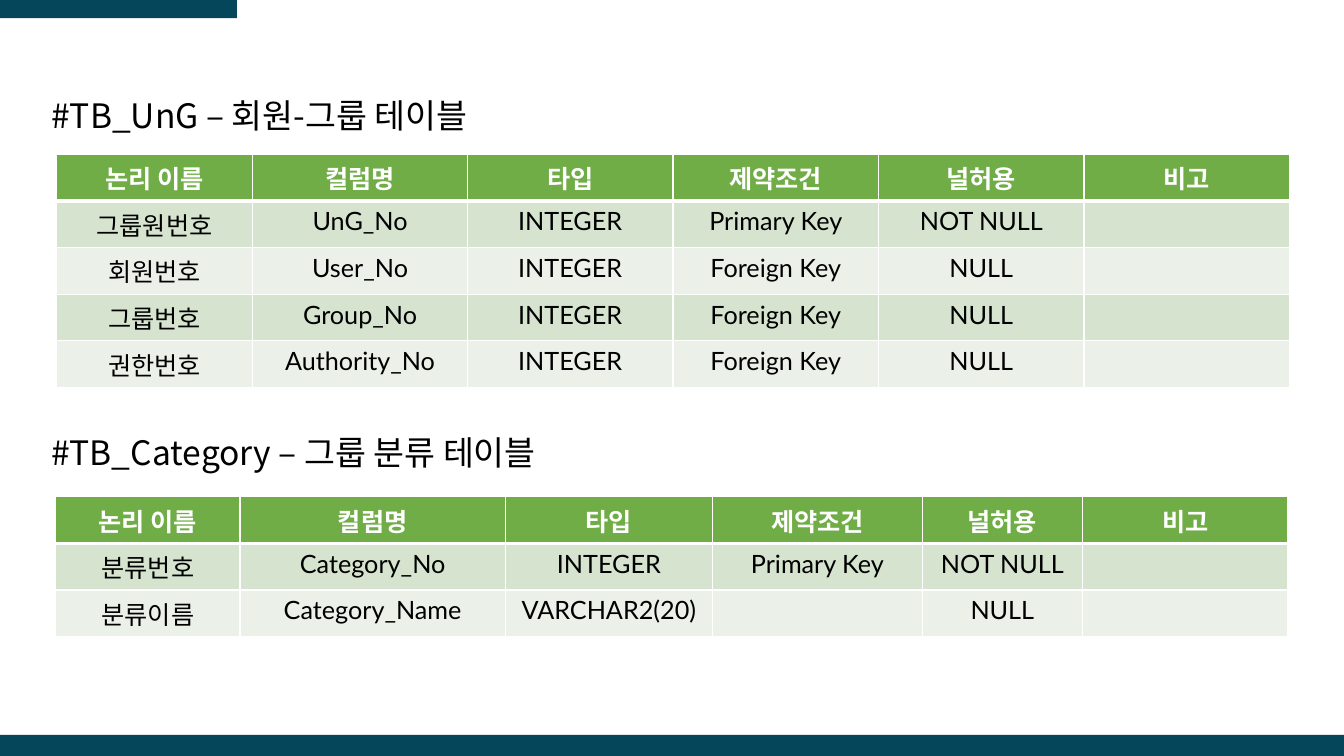
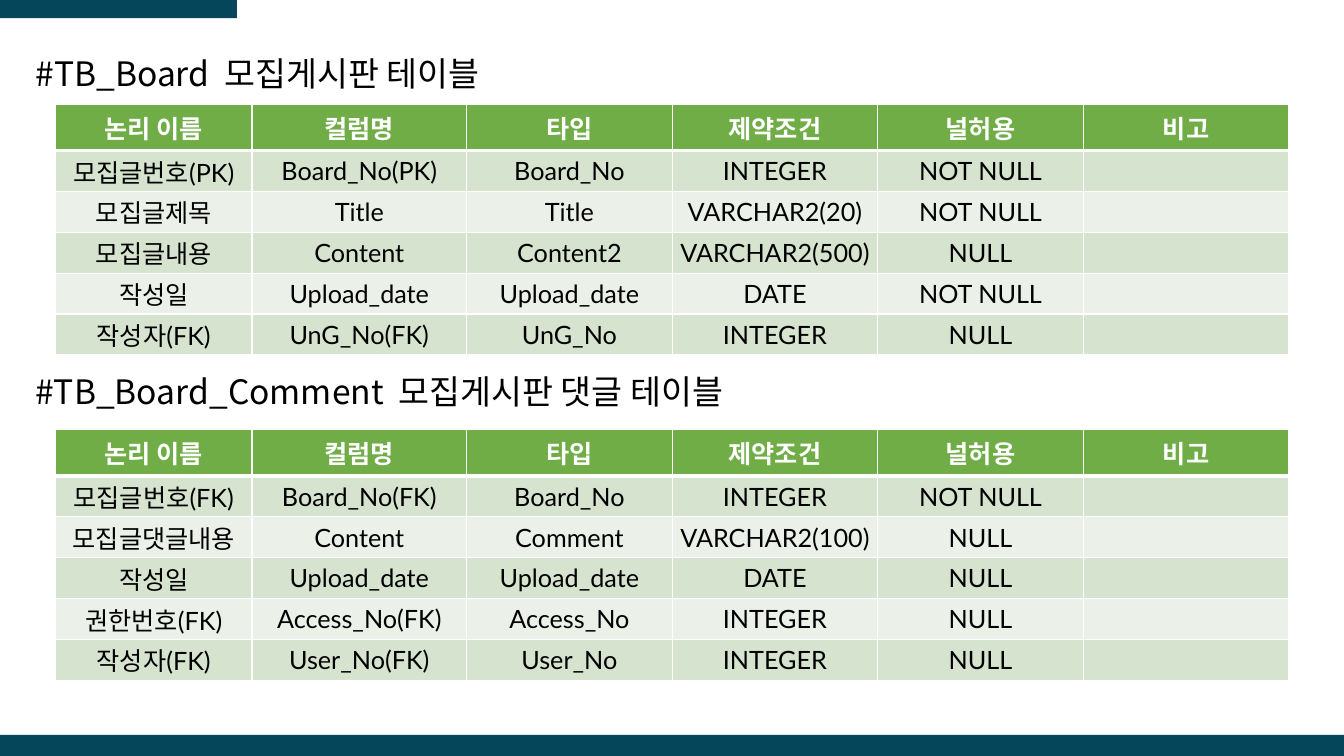
from lxml.etree import SubElement
from pptx import Presentation
from pptx.dml.color import RGBColor
from pptx.enum.shapes import MSO_SHAPE
from pptx.enum.text import MSO_ANCHOR, MSO_AUTO_SIZE, PP_ALIGN
from pptx.oxml.ns import qn
from pptx.util import Cm, Pt

# Shared look
HUES = {
    "band": "06465B", "head": "70AD47", "odd": "D5E3CF", "even": "EBF1E9",
    "dark": "000000", "white": "FFFFFF",
}
KOREAN = "Noto Sans CJK KR"
TITLE = {"size": Pt(24), "name": KOREAN, "bold": False}
HEAD = {"size": Pt(18), "name": "Lato", "bold": True}
BODY = {**HEAD, "bold": False}
FRAME = {"word_wrap": True, "auto_size": MSO_AUTO_SIZE.NONE,
         "vertical_anchor": MSO_ANCHOR.MIDDLE}
TIGHT = {"vertical_anchor": MSO_ANCHOR.MIDDLE, "margin_left": 0,
         "margin_top": 0, "margin_right": 0, "margin_bottom": 0}
WIDE, HIGH = Cm(33.87), Cm(19.05)
ROW = 1.02
EVEN = (4.95, 5.41, 5.18, 5.18, 5.18, 5.18)
MIXED = (4.65, 6.68, 5.23, 5.28, 4.04, 5.18)
LABELS = ("논리 이름", "컬럼명", "타입", "제약조건", "널허용", "비고")

# Table contents
GROUP = [
    ("그룹원번호", "UnG_No", "INTEGER", "Primary Key", "NOT NULL", ""),
    ("회원번호", "User_No", "INTEGER", "Foreign Key", "NULL", ""),
    ("그룹번호", "Group_No", "INTEGER", "Foreign Key", "NULL", ""),
    ("권한번호", "Authority_No", "INTEGER", "Foreign Key", "NULL", ""),
]
SORT = [
    ("분류번호", "Category_No", "INTEGER", "Primary Key", "NOT NULL", ""),
    ("분류이름", "Category_Name", "VARCHAR2(20)", "", "NULL", ""),
]
BOARD = [
    ("모집글번호(PK)", "Board_No(PK)", "Board_No", "INTEGER", "NOT NULL", ""),
    ("모집글제목", "Title", "Title", "VARCHAR2(20)", "NOT NULL", ""),
    ("모집글내용", "Content", "Content2", "VARCHAR2(500)", "NULL", ""),
    ("작성일", "Upload_date", "Upload_date", "DATE", "NOT NULL", ""),
    ("작성자(FK)", "UnG_No(FK)", "UnG_No", "INTEGER", "NULL", ""),
]
REPLY = [
    ("모집글번호(FK)", "Board_No(FK)", "Board_No", "INTEGER", "NOT NULL", ""),
    ("모집글댓글내용", "Content", "Comment", "VARCHAR2(100)", "NULL", ""),
    ("작성일", "Upload_date", "Upload_date", "DATE", "NULL", ""),
    ("권한번호(FK)", "Access_No(FK)", "Access_No", "INTEGER", "NULL", ""),
    ("작성자(FK)", "User_No(FK)", "User_No", "INTEGER", "NULL", ""),
]


def hue(name):
    return RGBColor.from_string(HUES[name])


def apply(item, style):
    for key, value in style.items():
        setattr(item, key, value)


def write(para, text, style, color):
    run = para.add_run()
    run.text = text
    apply(run.font, style)
    run.font.color.rgb = hue(color)
    SubElement(run._r.get_or_add_rPr(), qn("a:ea"), typeface=KOREAN)


# Bands live on the master
def add_bands(deck, slide):
    tree = deck.slide_master.shapes.element
    boxes = [(0, Cm(5.97), Cm(0.46)), (Cm(18.52), WIDE, HIGH - Cm(18.52))]
    for num, (top, width, height) in enumerate(boxes, 101):
        band = slide.shapes.add_shape(MSO_SHAPE.RECTANGLE, 0, top, width, height)
        band.shadow.inherit = False
        band.fill.solid()
        band.fill.fore_color.rgb = hue("band")
        band.line.fill.background()
        band.element.nvSpPr.cNvPr.set("id", str(num))
        tree.append(band.element)


# Headings
def set_head(shape, text, left, top, width):
    apply(shape, {"left": Cm(left), "top": Cm(top),
                  "width": Cm(width), "height": Cm(1.09)})
    frame = shape.text_frame
    apply(frame, FRAME)
    para = frame.paragraphs[0]
    apply(para, {"alignment": PP_ALIGN.LEFT, "line_spacing": 0.9})
    write(para, text, TITLE, "dark")


def add_head(slide, *args):
    set_head(slide.shapes.add_textbox(0, 0, 0, 0), *args)


# Tables
def add_edges(cell, top, bottom):
    props = cell._tc.get_or_add_tcPr()
    for side, width in (("L", 1), ("R", 1), ("T", top), ("B", bottom)):
        line = SubElement(props, qn("a:ln" + side), w=str(Pt(width)))
        fill = SubElement(line, qn("a:solidFill"))
        SubElement(fill, qn("a:srgbClr"), val=HUES["white"])


def fill_cell(cell, text, row, tight):
    add_edges(cell, 3 if row == 1 else 1, 1 if row else 3)
    cell.fill.solid()
    shade = ("odd" if row % 2 else "even") if row else "head"
    cell.fill.fore_color.rgb = hue(shade)
    if not text:
        return
    if tight and row:
        apply(cell, TIGHT)
    para = cell.text_frame.paragraphs[0]
    para.alignment = PP_ALIGN.CENTER
    write(para, text, BODY if row else HEAD, "dark" if row else "white")


def add_grid(slide, rows, left, top, widths=EVEN, tight=False):
    rows = [LABELS, *rows]
    table = slide.shapes.add_table(
        len(rows), len(LABELS), Cm(left), Cm(top),
        Cm(sum(widths)), Cm(ROW * len(rows))).table
    for col, width in zip(table.columns, widths):
        col.width = Cm(width)
    for row, texts in enumerate(rows):
        for col, text in enumerate(texts):
            fill_cell(table.cell(row, col), text, row, tight)


def main():
    deck = Presentation()
    apply(deck, {"slide_width": WIDE, "slide_height": HIGH})
    layout = deck.slide_layouts[5]

    # Groups and categories
    slide = deck.slides.add_slide(layout)
    add_bands(deck, slide)
    set_head(slide.shapes.title, "#TB_UnG – 회원-그룹 테이블", 1.04, 2.41, 27.53)
    add_grid(slide, GROUP, 1.42, 3.89)
    add_head(slide, "#TB_Category – 그룹 분류 테이블", 1.04, 10.9, 26.85)
    add_grid(slide, SORT, 1.4, 12.52, MIXED)

    # Board and comments
    slide = deck.slides.add_slide(layout)
    set_head(slide.shapes.title, "#TB_Board  모집게시판 테이블", 0.64, 1.35, 20.85)
    add_grid(slide, BOARD, 1.4, 2.62, tight=True)
    add_head(slide, "#TB_Board_Comment  모집게시판 댓글 테이블", 0.64, 9.37, 20.85)
    add_grid(slide, REPLY, 1.4, 10.82, tight=True)

    deck.save("out.pptx")


main()
